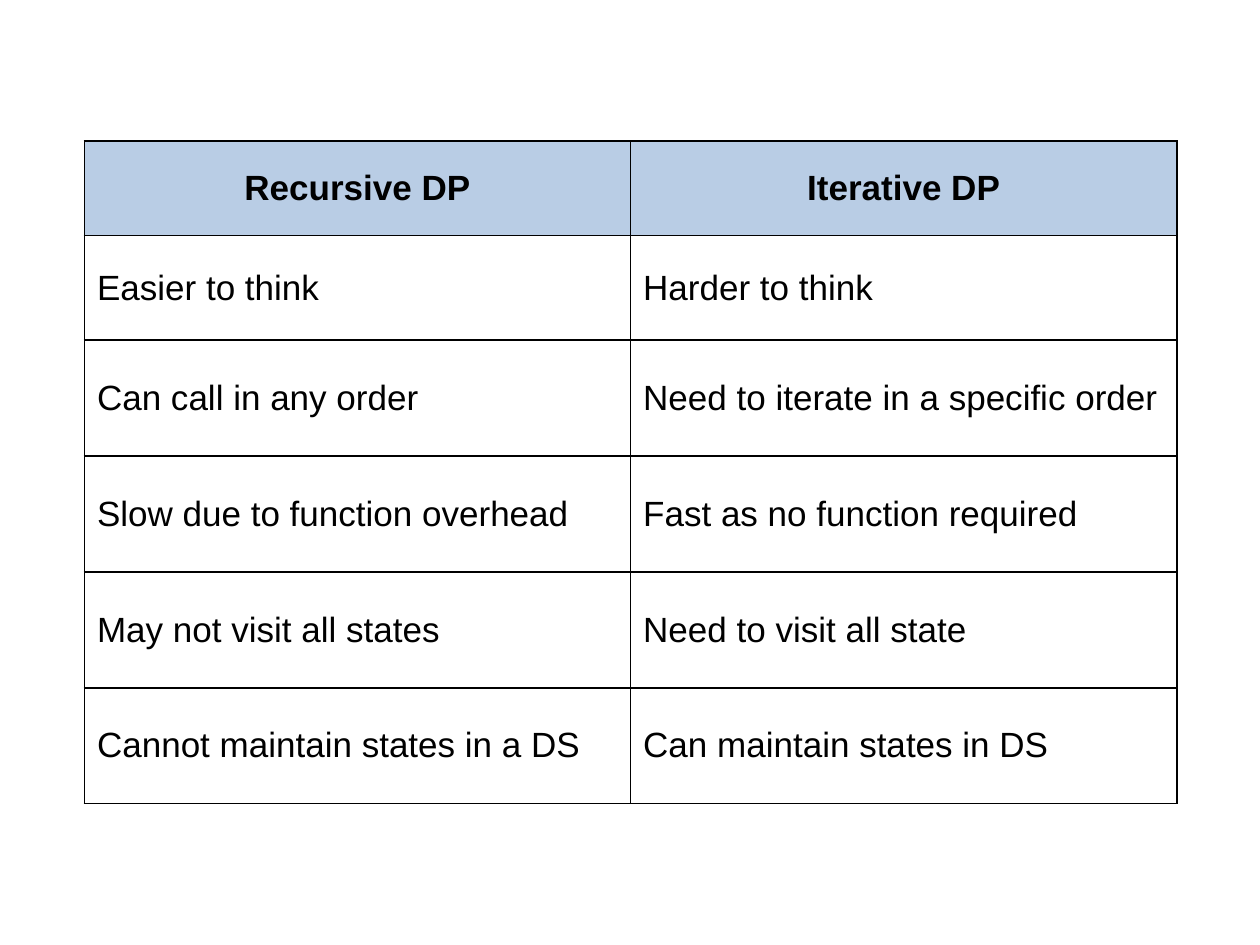
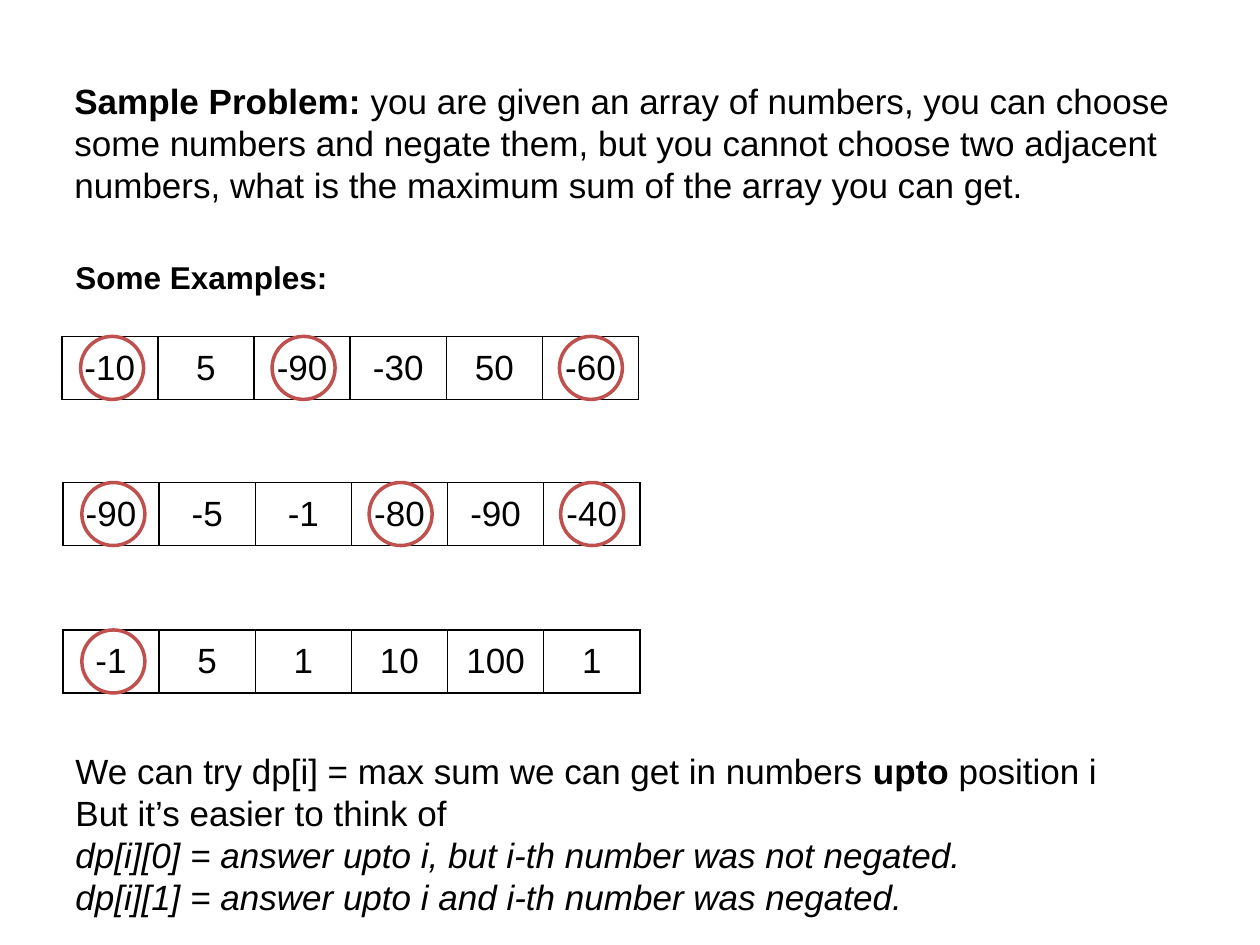
from lxml import etree
from pptx import Presentation
from pptx.dml.color import RGBColor
from pptx.enum import shapes, text
from pptx.oxml import ns
from pptx.util import Inches, Pt

COLORS = {"ink": "000000", "header": "B9CDE5", "ring": "C0504D"}
FONT = {"name": "Arial", "size": Pt(20), "bold": False, "italic": False}


def write(frame, paragraphs, align=text.PP_ALIGN.LEFT):
    for number, spans in enumerate(paragraphs):
        para = frame.add_paragraph() if number else frame.paragraphs[0]
        para.alignment = align
        for words, changes in spans:
            span = para.add_run()
            span.text = words
            for name, value in {**FONT, **changes}.items():
                setattr(span.font, name, value)
            span.font.color.rgb = RGBColor.from_string(COLORS["ink"])


def add_grid(page, left, top, width, heights, rows, header, align):
    frame = page.shapes.add_table(len(rows), len(rows[0]), Inches(left), Inches(top),
                                  Inches(width), Inches(sum(heights)))
    table = frame.table
    table.first_row = header
    table.horz_banding = False
    for column in table.columns:
        column.width = Inches(width / len(rows[0]))
    for r, values in enumerate(rows):
        table.rows[r].height = Inches(heights[r])
        is_header = header and r == 0
        for c, value in enumerate(values):
            cell = table.cell(r, c)
            cell.vertical_anchor = text.MSO_ANCHOR.MIDDLE
            properties = cell._tc.get_or_add_tcPr()
            for side in ("lnL", "lnR", "lnT", "lnB"):
                line = etree.SubElement(properties, ns.qn("a:" + side), w=str(Pt(1)))
                fill = etree.SubElement(line, ns.qn("a:solidFill"))
                etree.SubElement(fill, ns.qn("a:srgbClr"), val=COLORS["ink"])
            if is_header:
                cell.fill.solid()
                cell.fill.fore_color.rgb = RGBColor.from_string(COLORS["header"])
            else:
                cell.fill.background()
            write(cell.text_frame, [[(value, {"bold": is_header})]],
                  text.PP_ALIGN.CENTER if is_header else align)


deck = Presentation()
deck.slide_width, deck.slide_height = Inches(10), Inches(7.5)

comparison = [
    ("Recursive DP", "Iterative DP"),
    ("Easier to think", "Harder to think"),
    ("Can call in any order", "Need to iterate in a specific order"),
    ("Slow due to function overhead", "Fast as no function required"),
    ("May not visit all states", "Need to visit all state"),
    ("Cannot maintain states in a DS", "Can maintain states in DS"),
]
page = deck.slides.add_slide(deck.slide_layouts[6])
add_grid(page, 0.67, 1.12, 8.67, [0.75, 0.83] + [0.92] * 4, comparison, True,
         text.PP_ALIGN.LEFT)

page = deck.slides.add_slide(deck.slide_layouts[1])
title = page.shapes.title
title.element.getparent().remove(title.element)
problem = page.placeholders[1]
problem.left, problem.top = Inches(0.49), Inches(0.58)
problem.width, problem.height = Inches(9), Inches(1.33)
problem.text_frame.auto_size = text.MSO_AUTO_SIZE.NONE
write(problem.text_frame, [[
    ("Sample Problem: ", {"bold": True}),
    ("you are given an array of numbers, you can choose some numbers and negate them, "
     "but you cannot choose two adjacent numbers, what is the maximum sum of the array "
     "you can get.", {}),
]])
properties = problem.text_frame.paragraphs[0]._p.get_or_add_pPr()
properties.set("marL", "0")
properties.set("indent", "0")
etree.SubElement(properties, ns.qn("a:buNone"))

examples = [
    (0.49, 2.67, ("-10", "5", "-90", "-30", "50", "-60"), (0, 2, 5)),
    (0.5, 3.83, ("-90", "-5", "-1", "-80", "-90", "-40"), (0, 3, 5)),
    (0.5, 5, ("-1", "5", "1", "10", "100", "1"), (0,)),
]
for left, top, numbers, negated in examples:
    add_grid(page, left, top, 4.58, [0.5], [numbers], False, text.PP_ALIGN.CENTER)
    for position in negated:
        ring = page.shapes.add_shape(shapes.MSO_SHAPE.OVAL,
                                     Inches(left + 0.15 + 0.76 * position), Inches(top),
                                     Inches(0.5), Inches(0.5))
        ring.shadow.inherit = False
        ring.fill.background()
        ring.line.color.rgb = RGBColor.from_string(COLORS["ring"])
        ring.line.width = Pt(2)

notes = [
    (5.9, 8.75, 1.45, [
        [("We can try dp[i] = max sum we can get in numbers ", {}),
         ("upto", {"bold": True}), (" position i", {})],
        [("But it’s easier to think of", {})],
        [("dp[i][0] = answer upto i, but i-th number was not negated.", {"italic": True})],
        [("dp[i][1] = answer upto i and i-th number was negated.", {"italic": True})],
    ]),
    (2, 8.92, 0.4, [[("Some Examples:", {"bold": True, "size": Pt(18)})]]),
]
for top, width, height, paragraphs in notes:
    box = page.shapes.add_textbox(Inches(0.5), Inches(top), Inches(width), Inches(height))
    box.text_frame.word_wrap = True
    box.text_frame.auto_size = text.MSO_AUTO_SIZE.SHAPE_TO_FIT_TEXT
    write(box.text_frame, paragraphs)

deck.save("out.pptx")
